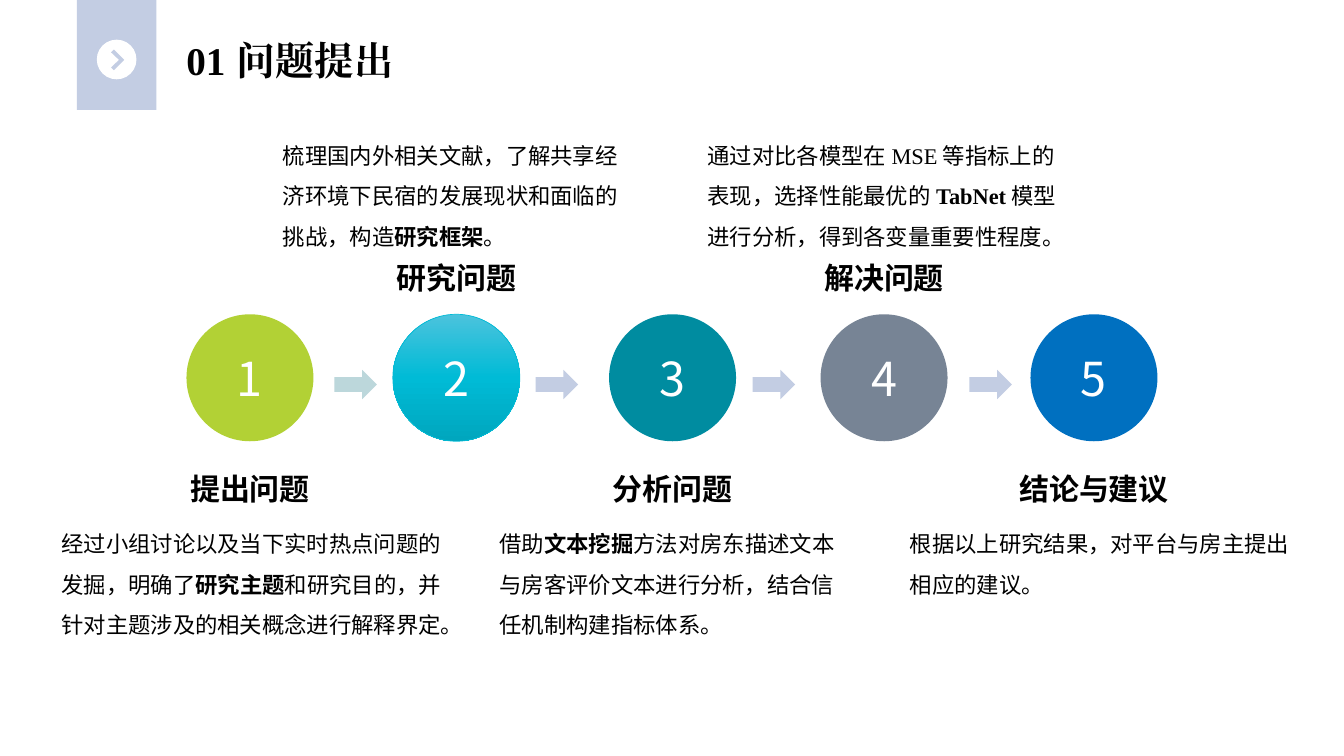
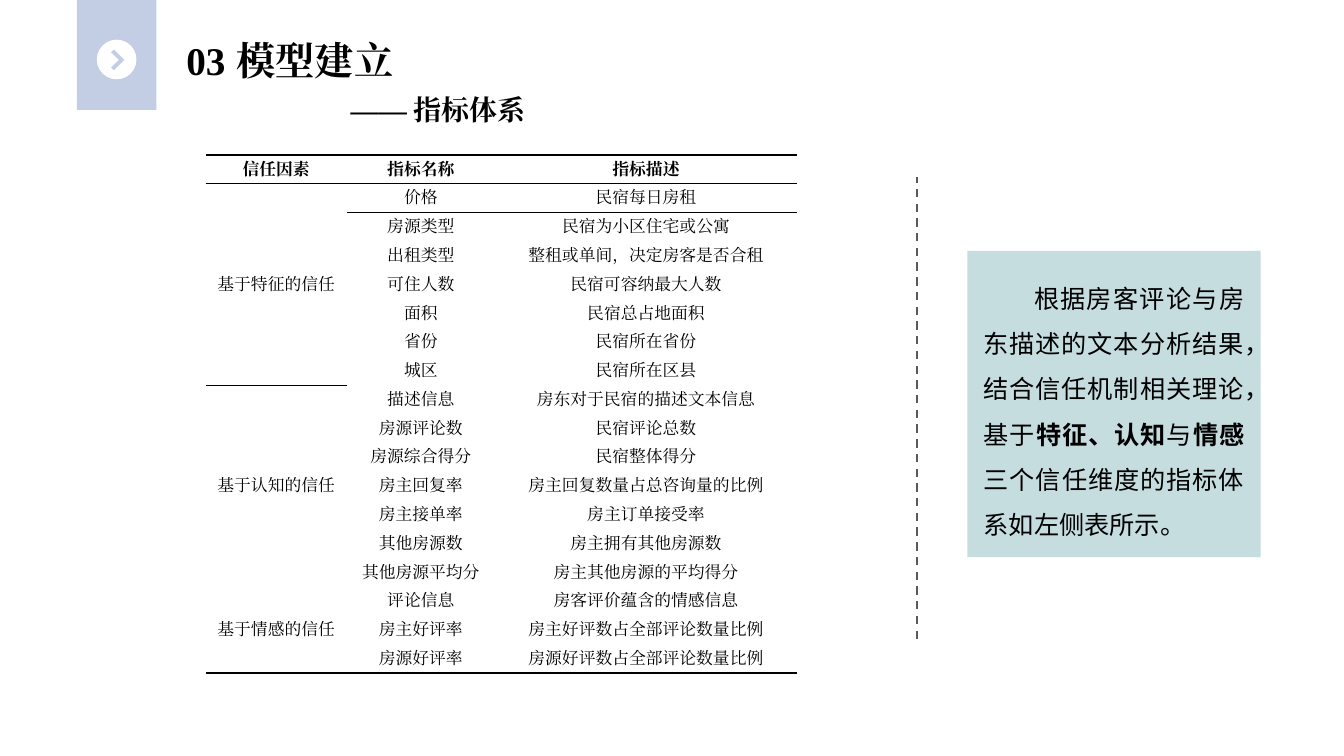
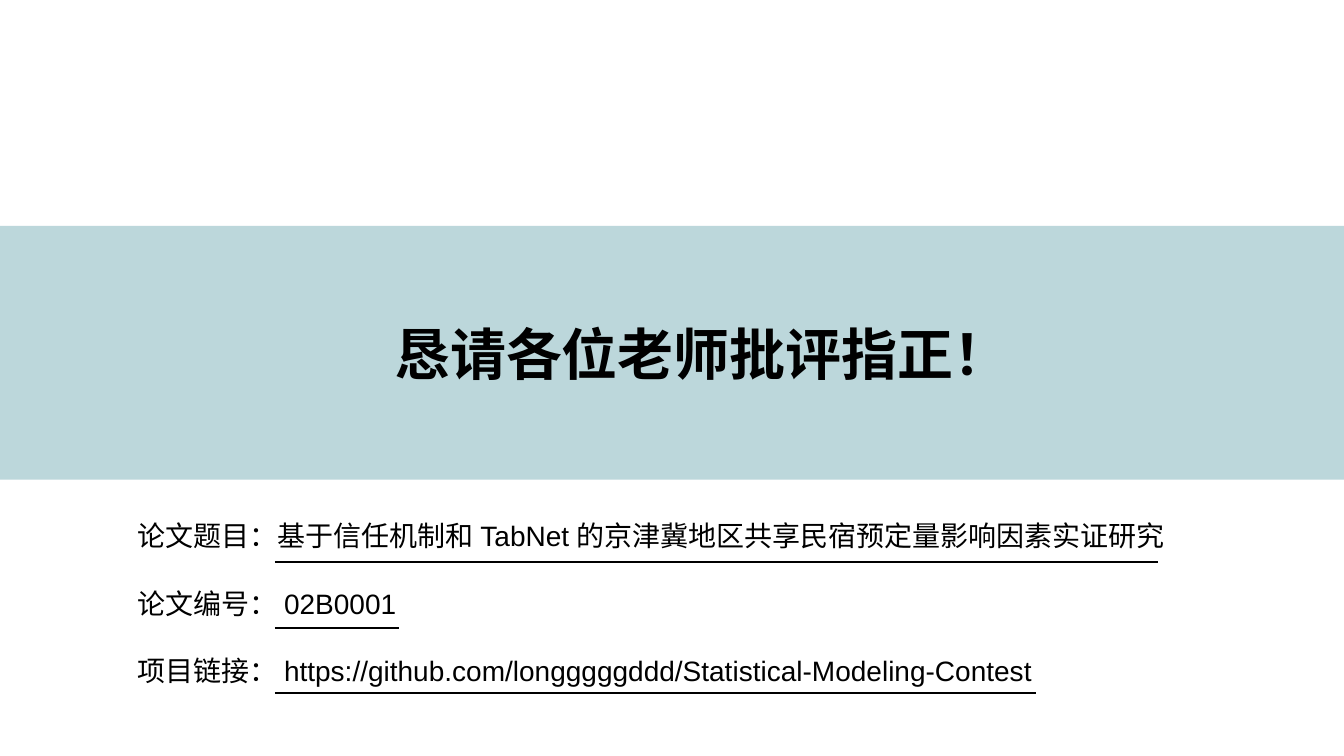
"""Build three slides on trust factors in homestay booking."""
from copy import deepcopy
from dataclasses import dataclass

from lxml import etree
from pptx import Presentation
from pptx import util as u
from pptx.dml.color import RGBColor
from pptx.enum import dml, shapes, text
from pptx.oxml.ns import qn

Cm, Pt = u.Cm, u.Pt
ALIGN = text.PP_ALIGN
SHAPE = shapes.MSO_SHAPE


@dataclass(frozen=True)
class Style:
    """Type settings for one kind of text."""
    size: float
    latin: str
    asian: str
    bold: bool = False
    color: str = "000000"
    leading: float = 1.2


class Theme:
    """Colours and type styles shared by the slides."""
    black, white, dash = "000000", "FFFFFF", "595959"
    lavender, mint, panel = "C3CDE3", "BCD7DB", "C6DDE0"
    stages = ["B2D135", "00BBD6", "008CA0", "778495", "0070C0"]
    gradient = ["4BC3DD", "00BBD6", "00A6BE"]
    sans, serif = "Noto Sans CJK SC", "Times New Roman"
    title = Style(28, serif, serif, True)
    subtitle = Style(20, serif, serif, True)
    label = Style(21.4, sans, sans, True)
    body = Style(16, serif, sans, leading=1.8)
    callout = Style(18, sans, sans, leading=1.8)
    number = Style(33.4, sans, sans, color=white, leading=0)
    cell = Style(12, serif, serif, leading=0)
    header = Style(12, serif, serif, True, leading=0)
    closing = Style(40, "Lato", "Lato", True)
    details = Style(20, "Arial", "Arial")


@dataclass(frozen=True)
class Box:
    """A region in centimetres."""
    left: float
    top: float
    width: float
    height: float

    def inside(self, left, top, width, height):
        """Return a box placed relative to this one."""
        return Box(self.left + left, self.top + top, width, height)

    def lengths(self):
        """Return left, top, width and height as lengths."""
        return [Cm(value) for value in (self.left, self.top, self.width, self.height)]


def rgb(color):
    """Turn a hex string into a colour."""
    return RGBColor.from_string(color)


def write(frame, lines, style, align=ALIGN.LEFT, before=0, tab=None, indent=0):
    """Fill a frame with paragraphs; ** marks bold passages."""
    frame.clear()
    for index, line in enumerate(lines):
        paragraph = frame.paragraphs[0] if index == 0 else frame.add_paragraph()
        properties = paragraph._p.get_or_add_pPr()
        properties.set("marL", "0")
        properties.set("indent", str(Cm(indent)))
        etree.SubElement(properties, qn("a:buNone"))
        if tab:
            tabs = etree.SubElement(properties, qn("a:tabLst"))
            etree.SubElement(tabs, qn("a:tab"), pos=str(Cm(tab)), algn="l")
        paragraph.alignment = align
        paragraph.space_before = Pt(before if index else 0)
        if style.leading:
            paragraph.line_spacing = Pt(style.size * style.leading)
        font = paragraph.font
        font.size, font.bold, font.name = Pt(style.size), style.bold, style.latin
        font.color.rgb = rgb(style.color)
        default = properties.find(qn("a:defRPr"))
        etree.SubElement(default, qn("a:ea"), typeface=style.asian)
        for position, passage in enumerate(line.split("**")):
            if passage:
                run = paragraph.add_run()
                run.text = passage
                if position % 2:
                    run.font.bold = True


def add_text(slide, box, lines, style, **options):
    """Add a wrapping text box."""
    frame = slide.shapes.add_textbox(*box.lengths()).text_frame
    frame.word_wrap = True
    write(frame, lines, style, **options)


def fill_placeholder(placeholder, box, lines, style, **options):
    """Move a placeholder into a box and write its text."""
    placeholder.left, placeholder.top, placeholder.width, placeholder.height = box.lengths()
    frame = placeholder.text_frame
    frame.auto_size = text.MSO_AUTO_SIZE.NONE
    frame.vertical_anchor = text.MSO_ANCHOR.TOP
    frame.word_wrap = True
    write(frame, lines, style, **options)


def paint(shape, color):
    """Give a shape a plain fill without line or shadow."""
    shape.shadow.inherit = False
    shape.fill.solid()
    shape.fill.fore_color.rgb = rgb(color)
    shape.line.fill.background()


def add_shape(slide, kind, box, color):
    """Add a plainly filled preset shape."""
    shape = slide.shapes.add_shape(kind, *box.lengths())
    paint(shape, color)
    return shape


def add_line(slide, start, end, color):
    """Add a straight line between two points in centimetres."""
    line = slide.shapes.add_connector(
        shapes.MSO_CONNECTOR.STRAIGHT, *[Cm(value) for value in start + end])
    line.line.width = Pt(1.5)
    line.line.color.rgb = rgb(color)
    etree.SubElement(line._element.spPr, qn("a:effectLst"))
    return line


def add_heading(slide, box, title, tab):
    """Place the badge and the section title in a header box."""
    add_shape(slide, SHAPE.RECTANGLE, box.inside(0, 0, 2, box.height), Theme.lavender)
    disc = box.inside(0.5, 1, 1, 1)
    add_shape(slide, SHAPE.OVAL, disc, Theme.white)
    builder = slide.shapes.build_freeform(43, 25, scale=Cm(0.01))
    builder.add_line_segments([(36, 32), (56, 51), (36, 70), (43, 77), (69, 51)])
    paint(builder.convert_to_shape(Cm(disc.left), Cm(disc.top)), Theme.lavender)
    fill_placeholder(slide.shapes.title, box.inside(2.5, 0.79, 10.24, 1.5),
                     [title], Theme.title, tab=tab)


def add_gradient(shape, colors):
    """Fill a shape from top to bottom with three evenly spaced colours."""
    shape.fill.gradient()
    shape.fill.gradient_angle = 270
    stop_list = shape._element.spPr.find(".//" + qn("a:gsLst"))
    stop_list.append(deepcopy(stop_list[0]))
    for index, (stop, color) in enumerate(zip(shape.fill.gradient_stops, colors)):
        stop.color.rgb = rgb(color)
        stop.position = index / 2


def add_stage(slide, box, number, above, label, body, body_left, body_width):
    """Place a numbered circle with its label and text above or below."""
    color = Theme.stages[number - 1]
    circle = add_shape(slide, SHAPE.OVAL, box, color)
    if number == 2:
        add_gradient(circle, Theme.gradient)
        circle.line.color.rgb = rgb(color)
        circle.line.width = Pt(0.5)
    frame = circle.text_frame
    frame.word_wrap = False
    frame.vertical_anchor = text.MSO_ANCHOR.MIDDLE
    write(frame, [str(number)], Theme.number, align=ALIGN.CENTER)
    label_width = 6.35
    label_top, body_top = (-1.5, -4.8) if above else (3.81, 4.98)
    add_text(slide, box.inside((box.width - label_width) / 2, label_top, label_width, 1.17),
             [label], Theme.label, align=ALIGN.CENTER)
    add_text(slide, Box(body_left, box.top + body_top, body_width, 3.33), [body], Theme.body)


STAGES = [
    (4.7, "提出问题", 1.3, 10.14,
     "经过小组讨论以及当下实时热点问题的发掘，明确了**研究主题**和研究目的，并针对主题涉及的相关概念进行解释界定。"),
    (9.9, "研究问题", 6.88, 9.22,
     "梳理国内外相关文献，了解共享经济环境下民宿的发展现状和面临的挑战，构造**研究框架**。"),
    (15.35, "分析问题", 12.34, 9.2,
     "借助**文本挖掘**方法对房东描述文本与房客评价文本进行分析，结合信任机制构建指标体系。"),
    (20.68, "解决问题", 17.58, 9.4,
     "通过对比各模型在MSE等指标上的表现，选择性能最优的**TabNet**模型进行分析，得到各变量重要性程度。"),
    (25.97, "结论与建议", 22.68, 10.14,
     "根据以上研究结果，对平台与房主提出相应的建议。"),
]
ARROW_LEFTS = [8.43, 13.5, 18.97, 24.43]

HEADERS = ["信任因素", "指标名称", "指标描述"]
INDICATORS = {
    "基于特征的信任": [
        ("价格", "民宿每日房租"),
        ("房源类型", "民宿为小区住宅或公寓"),
        ("出租类型", "整租或单间，决定房客是否合租"),
        ("可住人数", "民宿可容纳最大人数"),
        ("面积", "民宿总占地面积"),
        ("省份", "民宿所在省份"),
        ("城区", "民宿所在区县"),
    ],
    "基于认知的信任": [
        ("描述信息", "房东对于民宿的描述文本信息"),
        ("房源评论数", "民宿评论总数"),
        ("房源综合得分", "民宿整体得分"),
        ("房主回复率", "房主回复数量占总咨询量的比例"),
        ("房主接单率", "房主订单接受率"),
        ("其他房源数", "房主拥有其他房源数"),
        ("其他房源平均分", "房主其他房源的平均得分"),
    ],
    "基于情感的信任": [
        ("评论信息", "房客评价蕴含的情感信息"),
        ("房主好评率", "房主好评数占全部评论数量比例"),
        ("房源好评率", "房源好评数占全部评论数量比例"),
    ],
}
NO_GRID = "{2D5ABB26-0587-4C30-8999-92F81FD0307C}"


def set_border(cell, side, width):
    """Draw a black border on one side of a cell."""
    properties = cell._tc.get_or_add_tcPr()
    line = etree.Element(qn("a:" + side), w=str(Pt(width)))
    fill = etree.SubElement(line, qn("a:solidFill"))
    etree.SubElement(fill, qn("a:srgbClr"), val=Theme.black)
    borders = [child for child in properties if child.tag.startswith(qn("a:ln"))]
    properties.insert(len(borders), line)


def add_indicator_table(slide, box):
    """Place the three-line table of indicators."""
    rows = [HEADERS]
    starts = []
    for factor, indicators in INDICATORS.items():
        starts.append((len(rows), len(indicators)))
        for index, indicator in enumerate(indicators):
            rows.append(["" if index else factor, *indicator])
    table = slide.shapes.add_table(len(rows), len(HEADERS), *box.lengths()).table
    table._tbl.tblPr.find(qn("a:tableStyleId")).text = NO_GRID
    table.horz_banding = False
    table.first_row = False
    for column, width in zip(table.columns, (3.56, 3.73, 7.62)):
        column.width = Cm(width)
    for row_index, row in enumerate(rows):
        table.rows[row_index].height = int(Cm(box.height) / len(rows))
        for column_index, value in enumerate(row):
            cell = table.cell(row_index, column_index)
            cell.margin_left = cell.margin_right = Cm(0.18)
            cell.margin_top = cell.margin_bottom = 0
            cell.vertical_anchor = text.MSO_ANCHOR.MIDDLE
            cell.fill.background()
            write(cell.text_frame, [value], Theme.cell if row_index else Theme.header,
                  align=ALIGN.CENTER)
    for start, count in starts:
        table.cell(start, 0).merge(table.cell(start + count - 1, 0))
    last = len(rows) - 1
    for column_index in range(len(HEADERS)):
        set_border(table.cell(0, column_index), "lnT", 1.5)
        set_border(table.cell(0, column_index), "lnB", 0.75)
        set_border(table.cell(1, column_index), "lnT", 0.75)
        set_border(table.cell(last, column_index), "lnB", 1.5)
    set_border(table.cell(starts[-1][0], 0), "lnB", 1.5)


def add_callout(slide, box, message):
    """Place a tinted panel with an indented paragraph."""
    panel = add_shape(slide, SHAPE.RECTANGLE, box, Theme.panel)
    frame = panel.text_frame
    frame.word_wrap = True
    frame.vertical_anchor = text.MSO_ANCHOR.MIDDLE
    frame.margin_left = frame.margin_right = Cm(0.41)
    write(frame, [message], Theme.callout, align=ALIGN.JUSTIFY, indent=1.27)


def add_details(slide, box, lines, line_ends):
    """Place the paper details with a rule under each value."""
    fill_placeholder(slide.placeholders[1], box, lines, Theme.details, before=24)
    for index, end in enumerate(line_ends):
        top = box.top + 1.22 + 1.65 * index
        add_line(slide, (box.left + 3.73, top), (end, top), Theme.black)


HEADER_BOX = Box(1.94, 0, 13, 2.77)


def build_process_slide(presentation):
    """Build the five-stage process."""
    slide = presentation.slides.add_slide(presentation.slide_layouts[5])
    add_heading(slide, HEADER_BOX, "01\t问题提出", 1.75)
    for index, left in enumerate(ARROW_LEFTS):
        add_shape(slide, SHAPE.RIGHT_ARROW, Box(left, 9.32, 1.07, 0.74),
                  Theme.lavender if index else Theme.mint)
    for index, (left, label, body_left, body_width, body) in enumerate(STAGES):
        add_stage(slide, Box(left, 7.92, 3.2, 3.2), index + 1, index % 2 == 1,
                  label, body, body_left, body_width)


def build_indicator_slide(presentation):
    """Build the indicator table with its explanation."""
    slide = presentation.slides.add_slide(presentation.slide_layouts[5])
    add_heading(slide, HEADER_BOX, "03\t模型建立", 1.5)
    add_text(slide, Box(8.59, 2.2, 6, 1.2), ["—— 指标体系"], Theme.subtitle)
    add_indicator_table(slide, Box(5.18, 3.91, 14.91, 13.05))
    divider = add_line(slide, (23.1, 16.1), (23.1, 4.47), Theme.dash)
    divider.line.dash_style = dml.MSO_LINE.DASH
    add_callout(slide, Box(24.38, 6.32, 7.39, 7.72),
                "根据房客评论与房东描述的文本分析结果，结合信任机制相关理论，"
                "基于**特征、认知**与**情感**三个信任维度的指标体系如左侧表所示。")


def build_closing_slide(presentation):
    """Build the closing slide with the paper details."""
    slide = presentation.slides.add_slide(presentation.slide_layouts[1])
    band = add_shape(slide, SHAPE.RECTANGLE, Box(0, 5.69, 33.87, 6.4), Theme.mint)
    slide.shapes._spTree.insert(2, band._element)
    fill_placeholder(slide.shapes.title, Box(9.68, 7.92, 18.21, 1.96),
                     ["恳请各位老师批评指正！"], Theme.closing)
    add_details(slide, Box(3.2, 12.95, 27.46, 5.38), [
        "论文题目：基于信任机制和TabNet的京津冀地区共享民宿预定量影响因素实证研究",
        "论文编号：02B0001",
        "项目链接：https://github.com/longggggddd/Statistical-Modeling-Contest",
    ], [29.18, 10.06, 26.11])


def main():
    """Build and save the presentation."""
    presentation = Presentation()
    presentation.slide_width, presentation.slide_height = Cm(33.87), Cm(19.05)
    build_process_slide(presentation)
    build_indicator_slide(presentation)
    build_closing_slide(presentation)
    presentation.save("out.pptx")


if __name__ == "__main__":
    main()
